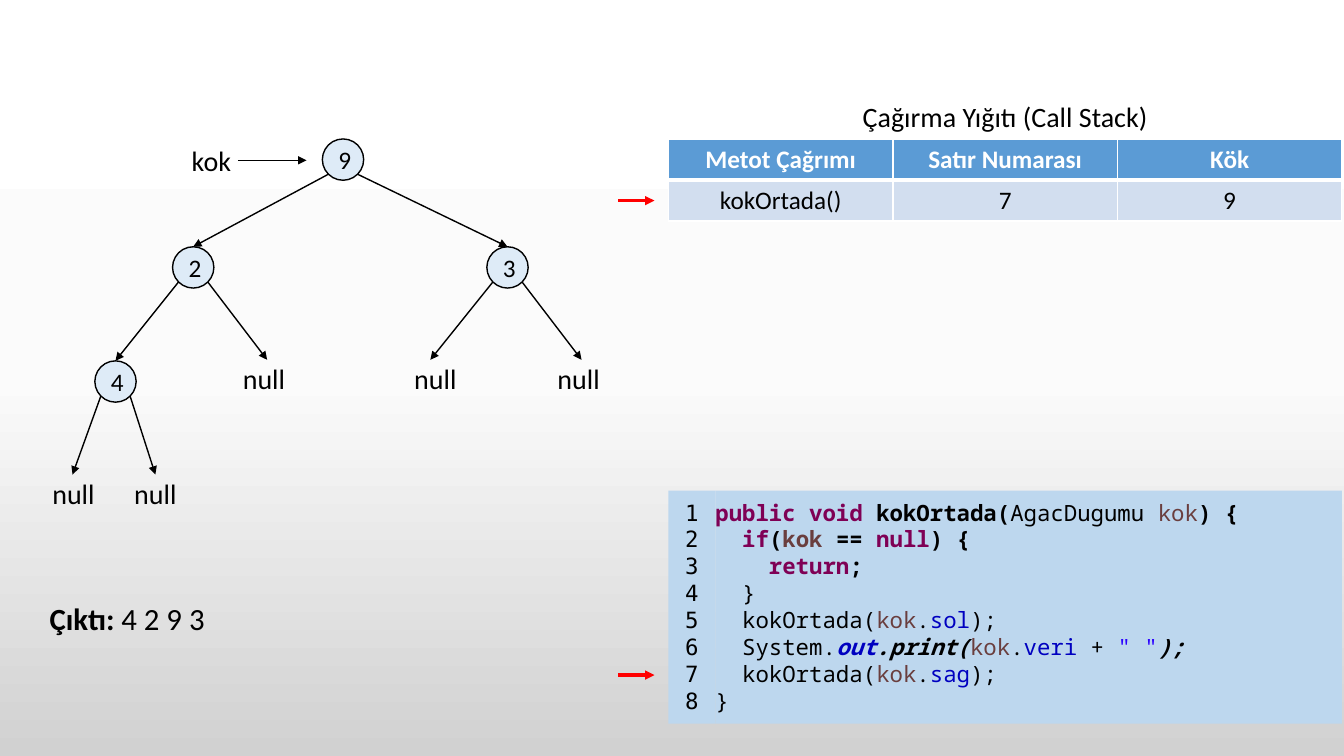
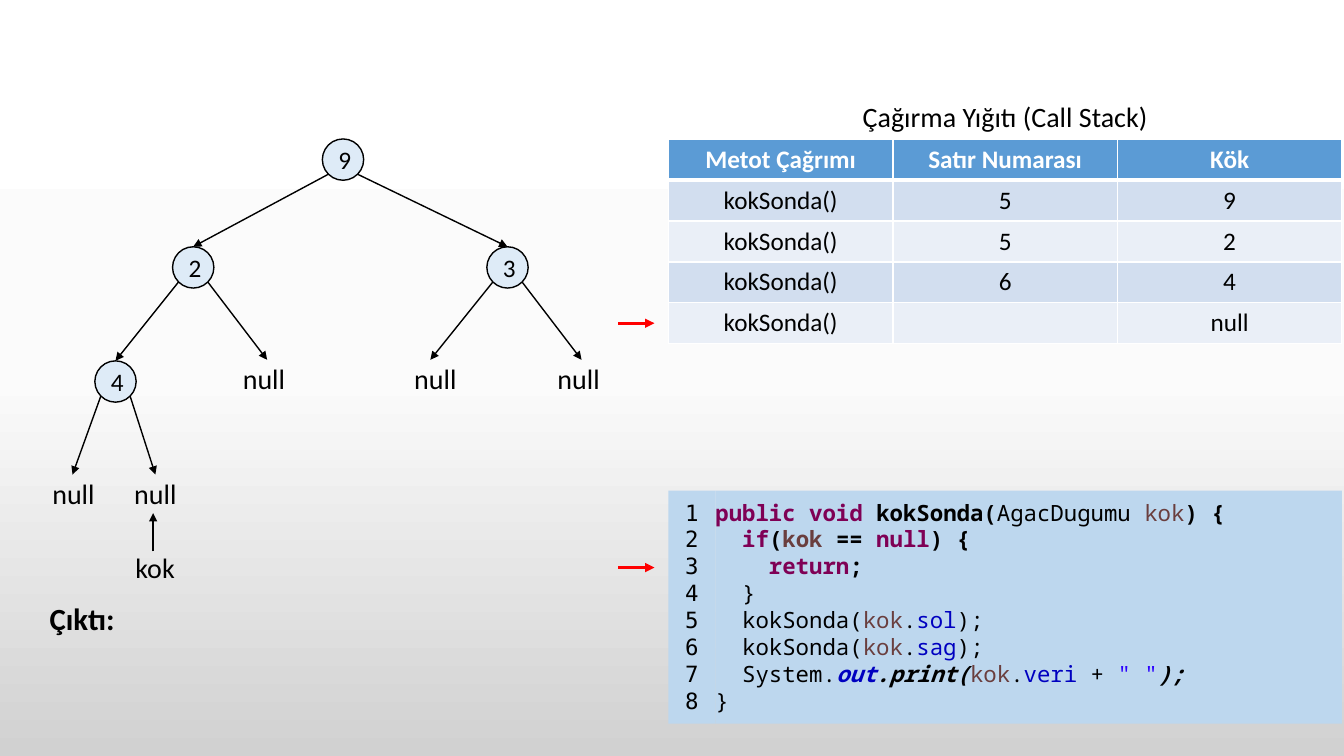
from copy import deepcopy
from dataclasses import dataclass

from lxml import etree
from pptx import Presentation
from pptx.dml.color import RGBColor
from pptx.enum.shapes import MSO_CONNECTOR, MSO_SHAPE
from pptx.enum.text import MSO_ANCHOR, PP_ALIGN
from pptx.oxml.ns import qn
from pptx.util import Pt


@dataclass(frozen=True)
class Theme:
    font: str = "Calibri"
    number_font: str = "DejaVu Sans Mono"
    code_font: str = "Noto Sans Mono"
    black: str = "000000"
    white: str = "FFFFFF"
    pointer: str = "FF0000"
    node: str = "DEEBF7"
    code_fill: str = "BDD7EE"
    header: str = "5B9BD5"
    rows: tuple = ("D2DEEF", "EAEFF7")
    background: tuple = ((0, "FFFFFF"), (0.5, "FBFBFB"), (1, "D1D1D1"))
    code_size: float = 16
    body_size: float = 18
    label_size: float = 20
    output_size: float = 22


T = Theme()

# Regions: left, top, width, height
TREE = (27, 99, 412, 280)
STACK = (477.5, 99.5, 481, 29.2)
CODE = (477.5, 350.5, 481, 166.5)
OUTPUT = (35.5, 424.8, 160, 34)
LINE_PITCH = 19.2

# Code styles: colour, bold, italic
STYLES = {
    "plain": (T.black, False, False),
    "bold": (T.black, True, False),
    "slant": (T.black, True, True),
    "key": ("7F0055", True, False),
    "var": ("6A3E3E", False, False),
    "boldvar": ("6A3E3E", True, False),
    "field": ("0000C0", False, False),
    "static": ("0000C0", True, True),
    "str": ("2A00FF", False, False),
}

# Tree: node centres, then edges to nodes and to null leaves (tip, label centre)
RADIUS = 14.75
NODES = {"9": (218, 15), "2": (111, 92), "3": (335.5, 92), "4": (55.5, 173.5)}
EDGES = (("9", "2"), ("9", "3"), ("2", "4"))
LEAVES = (
    ("4", (24.8, 240), 25.5), ("4", (84, 240), 84),
    ("2", (163.8, 158), 161.6),
    ("3", (280.4, 158), 284), ("3", (388.4, 158), 386.3),
)


def rgb(color):
    return RGBColor.from_string(color)


def set_font(font, size, color, name=T.font, bold=False, italic=False):
    font.size, font.name, font.bold, font.italic = Pt(size), name, bold, italic
    font.color.rgb = rgb(color)


def add_label(s, text, left, top, width, height):
    tf = s.shapes.add_textbox(Pt(left), Pt(top), Pt(width), Pt(height)).text_frame
    tf.word_wrap = True
    tf.margin_left = tf.margin_right = 0
    p = tf.paragraphs[0]
    p.text = text
    p.alignment = PP_ALIGN.CENTER
    set_font(p.font, T.label_size, T.black)
    return p


def add_arrow(s, start, end, color=T.black, width=1):
    line = s.shapes.add_connector(MSO_CONNECTOR.STRAIGHT, *map(Pt, start + end))
    line.line.color.rgb = rgb(color)
    line.line.width = Pt(width)
    etree.SubElement(line.line._get_or_add_ln(), qn("a:tailEnd"), type="triangle")
    etree.SubElement(line._element.spPr, qn("a:effectLst"))
    return line


def add_pointer(s, panel, y):
    add_arrow(s, (panel[0] - 36, y), (panel[0] - 10, y), T.pointer, 2.25)


def set_background(master):
    fill = master.background.fill
    fill.gradient()
    fill.gradient_angle = 270
    stops = fill.gradient_stops
    first = stops[0]._gs
    first.addnext(deepcopy(first))
    for stop, (position, color) in zip(fill.gradient_stops, T.background):
        stop.position = position
        stop.color.rgb = rgb(color)


def draw_tree(s, box):
    x, y = box[:2]
    circles = {}
    for value, (cx, cy) in NODES.items():
        sp = s.shapes.add_shape(MSO_SHAPE.OVAL, Pt(x + cx - RADIUS), Pt(y + cy - RADIUS),
                                Pt(2 * RADIUS), Pt(2 * RADIUS))
        sp.shadow.inherit = False
        sp.fill.solid()
        sp.fill.fore_color.rgb = rgb(T.node)
        sp.line.color.rgb = rgb(T.black)
        sp.line.width = Pt(1)
        p = sp.text_frame.paragraphs[0]
        p.text = value
        p.alignment = PP_ALIGN.CENTER
        set_font(p.font, T.body_size, T.black)
        circles[value] = sp

    def branch(parent, tip):
        # Edges leave the circle at 45 degrees, towards the child
        px, py = NODES[parent]
        reach = RADIUS * 0.71
        side = reach if tip[0] > px else -reach
        return add_arrow(s, (x + px + side, y + py + reach), (x + tip[0], y + tip[1]))

    for parent, child in EDGES:
        cx, cy = NODES[child]
        branch(parent, (cx, cy - RADIUS)).end_connect(circles[child], 0)
    for parent, tip, center in LEAVES:
        branch(parent, tip)
        add_label(s, "null", x + center - 26, y + tip[1] - 2.5, 52, 36)


def draw_root_pointer(s, box, label, start, end):
    x, y = box[:2]
    add_label(s, "kok", x + label[0], y + label[1], 43, 32)
    add_arrow(s, (x + start[0], y + start[1]), (x + end[0], y + end[1]))


def set_borders(cell, top, bottom):
    tc_pr = cell._tc.get_or_add_tcPr()
    widths = (("L", 1), ("R", 1), ("T", top), ("B", bottom))
    for i, (side, width) in enumerate(widths):
        ln = etree.Element(qn("a:ln" + side), w=str(Pt(width)))
        fill = etree.SubElement(ln, qn("a:solidFill"))
        etree.SubElement(fill, qn("a:srgbClr"), val=T.white)
        tc_pr.insert(i, ln)


def draw_call_stack(s, box, calls):
    left, top, width, row_height = box
    add_label(s, "Çağırma Yığıtı (Call Stack)", left, top - 31.7, width, 31.7)
    rows = [("Metot Çağrımı", "Satır Numarası", "Kök"), *calls]
    table = s.shapes.add_table(len(rows), 3, Pt(left), Pt(top), Pt(width),
                               Pt(row_height * len(rows))).table
    for r, values in enumerate(rows):
        table.rows[r].height = Pt(row_height)
        for c, value in enumerate(values):
            cell = table.cell(r, c)
            cell.fill.solid()
            cell.fill.fore_color.rgb = rgb(T.rows[(r - 1) % 2] if r else T.header)
            set_borders(cell, 3 if r == 1 else 1, 1 if r else 3)
            p = cell.text_frame.paragraphs[0]
            p.text = value
            p.alignment = PP_ALIGN.CENTER
            set_font(p.font, T.body_size, T.black if r else T.white, bold=r == 0)
    # The top of the stack is the last row
    add_pointer(s, box, top + row_height * (len(rows) - 0.5))


def add_code_column(s, left, top, width, height, lines):
    sp = s.shapes.add_shape(MSO_SHAPE.RECTANGLE, Pt(left), Pt(top), Pt(width), Pt(height))
    sp.shadow.inherit = False
    sp.fill.solid()
    sp.fill.fore_color.rgb = rgb(T.code_fill)
    sp.line.fill.background()
    tf = sp.text_frame
    tf.word_wrap = True
    tf.vertical_anchor = MSO_ANCHOR.TOP
    tf.margin_left = tf.margin_right = 0
    tf.margin_top = tf.margin_bottom = Pt(5.75)
    for i in range(len(lines)):
        p = tf.paragraphs[0] if i == 0 else tf.add_paragraph()
        p.line_spacing = Pt(LINE_PITCH)
    return tf.paragraphs


def draw_code(s, box, lines, current):
    left, top, width, height = box
    gutter = 33.5
    numbers = add_code_column(s, left, top, gutter, height, lines)
    for i, p in enumerate(numbers, 1):
        p.text = str(i)
        p.alignment = PP_ALIGN.CENTER
        set_font(p.font, T.code_size, T.black, T.number_font)
    code = add_code_column(s, left + gutter, top, width - gutter, height, lines)
    for p, tokens in zip(code, lines):
        p.alignment = PP_ALIGN.LEFT
        for style, text in tokens:
            r = p.add_run()
            r.text = text
            color, bold, italic = STYLES[style]
            set_font(r.font, T.code_size, color, T.code_font, bold, italic)
    add_pointer(s, box, top + 16.5 + LINE_PITCH * (current - 1))


def draw_output(s, box, values):
    p = add_label(s, "Çıktı:", *box)
    p.alignment = PP_ALIGN.LEFT
    p.font.size = Pt(T.output_size)
    p.runs[0].font.bold = True
    if values:
        p.add_run().text = " " + values


def traversal_code(name, steps):
    def visit(side):
        return [("plain", f"  {name}("), ("var", "kok"), ("plain", "."),
                ("field", side), ("plain", ");")]

    show = [("plain", "  System."), ("static", "out"), ("slant", ".print("),
            ("var", "kok"), ("plain", "."), ("field", "veri "), ("plain", "+ "),
            ("str", '" "'), ("slant", ");")]
    return [
        [("key", "public void "), ("bold", f"{name}("), ("plain", "AgacDugumu "),
         ("var", "kok"), ("bold", ") {")],
        [("key", "  if"), ("bold", "("), ("boldvar", "kok "), ("bold", "== "),
         ("key", "null"), ("bold", ") {")],
        [("key", "    return"), ("bold", ";")],
        [("plain", "  }")],
        *(show if step == "print" else visit(step) for step in steps),
        [("plain", "}")],
    ]


def add_traversal_slide(prs, name, steps, calls, current, output, root):
    s = prs.slides.add_slide(prs.slide_layouts[6])
    draw_call_stack(s, STACK, [(f"{name}()", *call) for call in calls])
    draw_output(s, OUTPUT, output)
    draw_tree(s, TREE)
    draw_root_pointer(s, TREE, *root)
    draw_code(s, CODE, traversal_code(name, steps), current)


def main():
    prs = Presentation()
    prs.slide_width, prs.slide_height = Pt(960), Pt(540)
    set_background(prs.slide_master)
    add_traversal_slide(
        prs, "kokOrtada", ("sol", "print", "sag"), [("7", "9")], 7, "4 2 9 3",
        ((102.5, 0), (143, 15.5), (192, 15.5)))
    add_traversal_slide(
        prs, "kokSonda", ("sol", "sag", "print"),
        [("5", "9"), ("5", "2"), ("6", "4"), ("", "null")], 3, "",
        ((62.3, 290.5), (82.4, 294.8), (82.4, 267.5)))
    prs.save("out.pptx")


if __name__ == "__main__":
    main()
